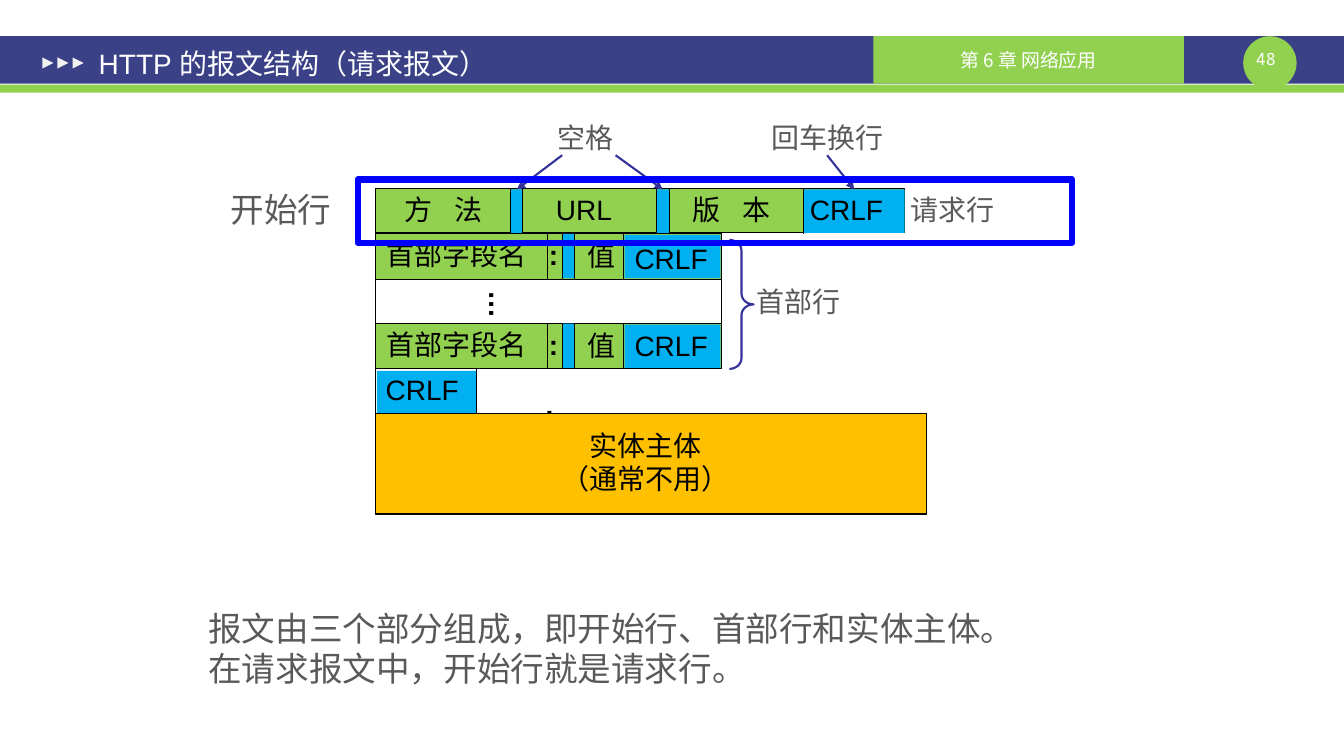
from dataclasses import dataclass
from lxml.etree import SubElement as Sub
from pptx import Presentation
from pptx.dml.color import RGBColor as Rgb
from pptx.enum.shapes import MSO_CONNECTOR as Link, MSO_SHAPE as Kind
from pptx.enum.text import MSO_ANCHOR as Anchor, MSO_AUTO_SIZE as Fit, PP_ALIGN as Align
from pptx.oxml.ns import qn
from pptx.util import Inches, Pt


@dataclass(frozen=True)
class Theme:
    navy: str = "3A4187"
    green: str = "92D050"
    sky: str = "00B0F0"
    amber: str = "FFC000"
    ink: str = "333399"
    frame: str = "0000FF"
    black: str = "000000"
    gray: str = "595959"
    white: str = "FFFFFF"
    pale: str = "F2F2F2"
    latin: str = "Arial"
    asian: str = "Noto Sans CJK SC"
    mono: str = "Noto Sans Mono"
    body: float = 20
    large: float = 24
    small: float = 13.5
    tiny: float = 12
    thin: float = 0.75
    mid: float = 1.5
    thick: float = 4.5


class Board:
    def __init__(self, slide, theme):
        self.slide, self.theme = slide, theme
        self.shapes = slide.shapes

    def style(self, frame, text, color, size, align=Align.LEFT, bold=False, face=None, space=0):
        frame.text = text
        for para in frame.paragraphs:
            para.alignment = align
            font = para.font
            font.size, font.bold = Pt(size), bold
            font.color.rgb = Rgb.from_string(color)
            font.name = face or self.theme.latin
            props = para._p.get_or_add_pPr().get_or_add_defRPr()
            Sub(props, qn("a:ea")).set("typeface", self.theme.asian)
            if space:
                props.set("spc", str(space))

    def shape(self, kind, x, y, w, h, fill=None, line=None, width=None):
        item = self.shapes.add_shape(kind, Inches(x), Inches(y), Inches(w), Inches(h))
        item.shadow.inherit = False
        if fill:
            item.fill.solid()
            item.fill.fore_color.rgb = Rgb.from_string(fill)
        else:
            item.fill.background()
        if line:
            item.line.color.rgb = Rgb.from_string(line)
            item.line.width = Pt(width or self.theme.thin)
        else:
            item.line.fill.background()
        return item

    def rect(self, *spot, **look):
        return self.shape(Kind.RECTANGLE, *spot, **look)

    def text(self, text, x, y, w, h=0.44, color=None, size=None, **look):
        box = self.shapes.add_textbox(Inches(x), Inches(y), Inches(w), Inches(h))
        box.text_frame.word_wrap = False
        box.text_frame.auto_size = Fit.SHAPE_TO_FIT_TEXT
        self.style(box.text_frame, text, color or self.theme.black, size or self.theme.body, **look)
        return box

    def line(self, x1, y1, x2, y2, color=None, width=None):
        item = self.shapes.add_connector(Link.STRAIGHT, Inches(x1), Inches(y1), Inches(x2), Inches(y2))
        item.line.color.rgb = Rgb.from_string(color or self.theme.black)
        item.line.width = Pt(width or self.theme.thin)
        Sub(item._element.spPr, qn("a:effectLst"))
        return item

    def walls(self, top, *places):
        for x in places:
            self.line(x, top, x, top + 0.45)

    def arrow(self, x, y, cell):
        item = self.line(x, y, x, y + 0.33, self.theme.ink, self.theme.mid)
        item.end_connect(cell, 0)
        Sub(item.line._get_or_add_ln(), qn("a:tailEnd")).set("type", "triangle")

    def title(self, text, x, y, w, h):
        item = self.shapes.title
        self.shapes._spTree.append(item._element)
        item.left, item.top, item.width, item.height = map(Inches, (x, y, w, h))
        frame = item.text_frame
        frame.auto_size, frame.word_wrap = Fit.NONE, True
        frame.vertical_anchor = Anchor.MIDDLE
        frame.margin_left = frame.margin_right = Inches(0.13)
        frame.margin_top = frame.margin_bottom = Inches(0.07)
        self.style(frame, text, self.theme.white, self.theme.body)

    def field(self, top, drop):
        t = self.theme
        self.rect(3.73, top, 3.43, 0.45, fill=t.green, line=t.black)
        self.rect(6.2, top + 0.01, 0.95, 0.43, fill=t.sky)
        self.rect(5.58, top, 0.12, 0.44, fill=t.sky)
        self.walls(top, 5.43, 5.58, 5.7, 6.19)
        self.text("首部字段名", 3.74, top - 0.01, 1.6)
        self.text(":", 5.35, top - 0.01, 0.29, bold=True)
        self.text("值", 5.73, top, 0.48)
        self.text("CRLF", 6.2, top + drop, 0.94)


def header(board):
    t = board.theme
    board.rect(0, 0.36, 13.34, 0.47, fill=t.navy)
    board.rect(0, 0.84, 13.34, 0.08, fill=t.green)
    board.shape(Kind.OVAL, 12.34, 0.36, 0.53, 0.53, fill=t.green)
    page = board.text("48", 12.3, 0.48, 0.53, 0.2, t.white, t.tiny, align=Align.CENTER, face=t.mono)
    frame = page.text_frame
    frame.margin_left = frame.margin_right = frame.margin_top = frame.margin_bottom = 0
    tab = board.rect(8.67, 0.36, 3.08, 0.47, fill=t.green)
    tab.text_frame.vertical_anchor = Anchor.MIDDLE
    board.style(tab.text_frame, "第 6 章 网络应用", t.white, t.small, Align.CENTER, face=t.asian)
    for i in range(3):
        mark = board.shape(Kind.ISOSCELES_TRIANGLE, 0.42 + 0.15 * i, 0.57, 0.11, 0.11, fill=t.pale)
        mark.rotation = 90
    board.title("HTTP 的报文结构（请求报文）", 0.85, 0.39, 5.83, 0.47)


def request(board):
    t = board.theme
    board.rect(3.73, 1.87, 5.25, 0.44, fill=t.green, line=t.black)
    gaps = [board.rect(x, 1.88, w, 0.43, fill=t.sky) for x, w in ((5.07, 0.12), (6.52, 0.12), (7.98, 1))]
    board.walls(1.87, 5.07, 5.19, 6.52, 6.65, 7.98)
    for word, x, w, space in (("方 法", 3.92, 1.01, 550), ("URL", 5.42, 0.76, 0),
                              ("版 本", 6.78, 1.01, 550), ("CRLF", 7.94, 0.94, 0)):
        board.text(word, x, 1.86, w, space=space)
    for word, x, y, w in (("请求行", 8.94, 1.86, 1.04), ("空格", 5.44, 1.15, 0.76),
                          ("回车换行", 7.56, 1.15, 1.32)):
        board.text(word, x, y, w, color=t.gray)
    for x, cell in zip((5.58, 6.11, 8.21), gaps):
        board.arrow(x, 1.54, cell)


def message(board):
    t = board.theme
    for top, drop in ((2.32, 0.03), (3.21, 0)):
        board.field(top, drop)
    board.walls(2.76, 3.73, 7.16)
    board.text("…", 4.55, 2.8, 0.48, bold=True).rotation = 270
    brace = board.shape(Kind.RIGHT_BRACE, 7.24, 2.38, 0.24, 1.28, line=t.ink, width=t.mid)
    brace.adjustments[0] = 0.44
    board.text("首部行", 7.41, 2.77, 1.04, color=t.gray)
    board.rect(3.74, 3.68, 0.99, 0.42, fill=t.sky)
    board.walls(3.66, 3.73, 4.73)
    board.text("CRLF", 3.73, 3.65, 0.94)
    board.text(":", 5.31, 3.89, 0.29, bold=True)
    board.rect(3.73, 4.1, 5.47, 1, fill=t.amber, line=t.black)
    board.text("实体主体\n（通常不用）", 5.47, 4.2, 1.88, 0.77, align=Align.CENTER)


def notes(board):
    t = board.theme
    board.text("报文由三个部分组成，即开始行、首部行和实体主体。\n在请求报文中，开始行就是请求行。",
               1.97, 5.98, 8.28, 0.91, t.gray, t.large)
    board.rect(3.55, 1.78, 7.09, 0.63, line=t.frame, width=t.thick)
    board.text("开始行", 2.19, 1.82, 1.21, 0.51, t.gray, t.large)


def main():
    deck = Presentation()
    deck.slide_width, deck.slide_height = Inches(13.34), Inches(7.5)
    board = Board(deck.slides.add_slide(deck.slide_layouts[5]), Theme())
    for draw in (header, request, message, notes):
        draw(board)
    deck.save("out.pptx")


if __name__ == "__main__":
    main()
